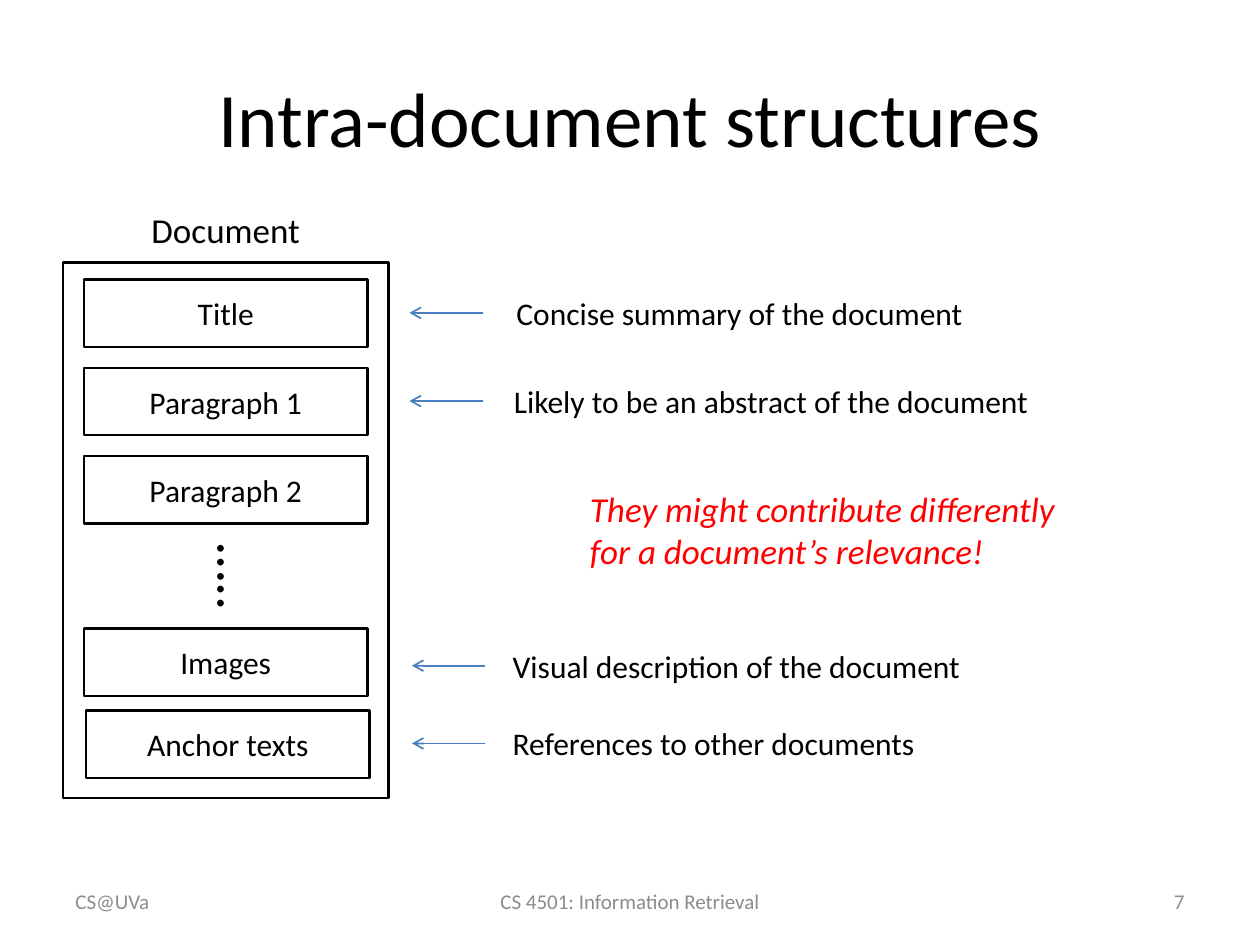
from collections import namedtuple

from lxml.etree import SubElement
from pptx import Presentation
from pptx.dml.color import RGBColor
from pptx.enum.shapes import MSO_CONNECTOR as Connector, MSO_SHAPE as Shape
from pptx.enum.text import MSO_ANCHOR as Anchor, PP_ALIGN as Align
from pptx.oxml.ns import qn
from pptx.util import Inches, Pt

COLORS = {"ink": "000000", "arrow": "4B7EBC", "accent": "FF0000", "footer": "8C8C8C"}
COLUMNS, ROWS = 120, 90
WIDTH, HEIGHT = Inches(10), Inches(7.5)
SECTION_WIDTH, SECTION_HEIGHT = 27, 6.4
SECTION_STEP = 8.4

Box = namedtuple("Box", "left top width height")

SECTIONS = [
    ("Title", 2, 1.64),
    ("Paragraph 1", 2, 1.64 + SECTION_STEP),
    ("Paragraph 2", 2, 1.64 + 2 * SECTION_STEP),
    ("Images", 2, 34.88),
    ("Anchor texts", 2.2, 42.68),
]
NOTES = [
    ("Concise summary of the document", 0, 4.8, 9),
    ("Likely to be an abstract of the document", 0, 13.2, 8.76),
    ("Visual description of the document", 0.24, 38.4, 8.4),
    ("References to other documents", 0.24, 45.8, 8.4),
]
FOOTERS = [
    ("CS@UVa", 0, 28, Align.LEFT),
    ("CS 4501: Information Retrieval", 35, 38, Align.CENTER),
    ("7", 80, 28, Align.RIGHT),
]


def color(name):
    """Return the named colour."""
    return RGBColor.from_string(COLORS[name])


def place(box):
    """Turn a box in grid units into slide lengths."""
    across, down = WIDTH / COLUMNS, HEIGHT / ROWS
    return [round(size * unit) for size, unit in zip(box, (across, down) * 2)]


def inside(box, left, top, width, height):
    """Return a box offset from the corner of another."""
    return Box(box.left + left, box.top + top, width, height)


def set_all(target, values):
    """Set each attribute of the target from a dict."""
    for name, value in values.items():
        setattr(target, name, value)


def write(shape, text, size, ink="ink", align=Align.LEFT, anchor=Anchor.TOP, italic=False):
    """Put one formatted paragraph into a shape."""
    frame = shape.text_frame
    set_all(frame, {"word_wrap": True, "vertical_anchor": anchor})
    para = frame.paragraphs[0]
    para.alignment = align
    span = para.add_run()
    span.text = text
    set_all(span.font, {"name": "Calibri", "size": Pt(size), "italic": italic})
    span.font.color.rgb = color(ink)


def add_text(page, box, text, size, **style):
    """Add a text box and return it."""
    shape = page.shapes.add_textbox(*place(box))
    write(shape, text, size, **style)
    return shape


def add_frame(page, box):
    """Add an unfilled rectangle with a black outline."""
    shape = page.shapes.add_shape(Shape.RECTANGLE, *place(box))
    shape.shadow.inherit = False
    shape.fill.background()
    shape.line.color.rgb = color("ink")
    shape.line.width = Pt(1.5)
    return shape


def add_arrow(page, box):
    """Add an arrow that points left along the top of the box."""
    left, top, width, _ = place(box)
    arrow = page.shapes.add_connector(Connector.STRAIGHT, left + width, top, left, top)
    arrow.line.color.rgb = color("arrow")
    arrow.line.width = Pt(1)
    SubElement(arrow.line._get_or_add_ln(), qn("a:tailEnd"), type="arrow")
    SubElement(arrow._element.spPr, qn("a:effectLst"))


def add_title(page, box):
    """Place and format the title placeholder."""
    title = page.shapes.title
    names = ("left", "top", "width", "height")
    set_all(title, dict(zip(names, place(box))))
    write(title, "Intra-document structures", 44, align=Align.CENTER, anchor=Anchor.MIDDLE)


def add_document(page, box):
    """Draw the document outline with its heading and sections."""
    heading = inside(box, 2.6, -5.7, 25.8, 5.28)
    add_text(page, heading, "Document", 20, align=Align.CENTER)
    add_frame(page, box)
    for text, left, top in SECTIONS:
        section = add_frame(page, inside(box, left, top, SECTION_WIDTH, SECTION_HEIGHT))
        write(section, text, 18, align=Align.CENTER, anchor=Anchor.MIDDLE)
    dots = add_text(page, inside(box, 10.8, 26.1, 12, 7.7), "…..", 32, align=Align.CENTER)
    dots.rotation = 90


def add_notes(page, box):
    """Draw the arrows with their notes and the remark between them."""
    for text, left, row, gap in NOTES:
        add_arrow(page, inside(box, left, row, 7, 0))
        add_text(page, inside(box, left + gap, row - 2.4, 56.3, 4.8), text, 18)
    remark = "They might contribute differently for a document’s relevance!"
    add_text(page, inside(box, 16, 20.8, 51, 9.3), remark, 20, ink="accent", italic=True)


def add_footer(page, box):
    """Write the three footer fields along the bottom."""
    for text, left, width, align in FOOTERS:
        field = inside(box, left, 0, width, box.height)
        add_text(page, field, text, 12, ink="footer", align=align, anchor=Anchor.MIDDLE)


def main():
    """Build and save the slide."""
    deck = Presentation()
    set_all(deck, {"slide_width": WIDTH, "slide_height": HEIGHT})
    page = deck.slides.add_slide(deck.slide_layouts.get_by_name("Title Only"))
    add_title(page, Box(6, 3.6, 108, 15))
    add_document(page, Box(6, 25, 31, 51))
    add_notes(page, Box(39, 25, 68, 51))
    add_footer(page, Box(6, 83.4, 108, 4.8))
    deck.save("out.pptx")


if __name__ == "__main__":
    main()
